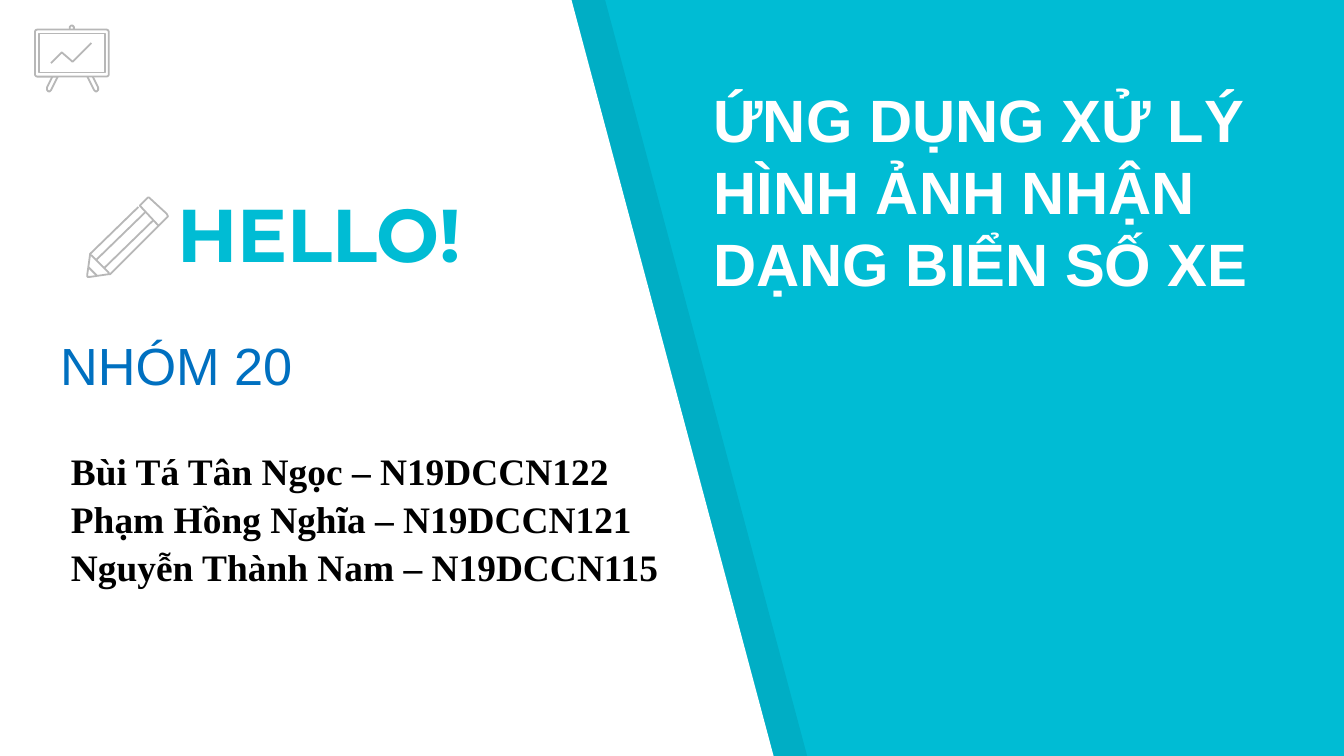
from lxml import etree
from pptx import Presentation
from pptx.dml.color import RGBColor
from pptx.enum.shapes import MSO_CONNECTOR as Connector, MSO_SHAPE as Shape
from pptx.enum.text import MSO_ANCHOR as Anchor
from pptx.oxml.ns import qn
from pptx.util import Inches, Pt

COLORS = {
    "cyan": "00BCD4",
    "white": "FFFFFF",
    "black": "000000",
    "blue": "0070C0",
    "icon": "B7B7B7",
}
ICON_LINE = Pt(0.96)
BOARD_CENTER = 0.54


def color(name):
    return RGBColor.from_string(COLORS[name])


def add_outline(page, points, closed=False):
    """Add a freeform through points given in inches."""
    corners = [(Inches(x), Inches(y)) for x, y in points]
    builder = page.shapes.build_freeform(*corners[0])
    builder.add_line_segments(corners[1:], close=closed)
    shape = builder.convert_to_shape()
    shape.shadow.inherit = False
    return shape


def add_panel(page, left, fill, opacity=None):
    """Add a full-height panel with a slanted right edge."""
    points = [(left, -0.01), (left, 5.64), (left + 5.77, 5.64), (left + 4.26, -0.01)]
    panel = add_outline(page, points, closed=True)
    panel.fill.solid()
    panel.fill.fore_color.rgb = color(fill)
    panel.line.fill.background()
    if opacity is not None:
        tint = panel._element.spPr.find(".//" + qn("a:srgbClr"))
        etree.SubElement(tint, qn("a:alpha"), val=str(opacity * 1000))


def style_icon(shape):
    shape.fill.background()
    shape.line.color.rgb = color("icon")
    shape.line.width = ICON_LINE


def add_stroke(page, points, closed=False):
    style_icon(add_outline(page, points, closed))


def add_line(page, start, end):
    ends = [Inches(value) for value in (*start, *end)]
    line = page.shapes.add_connector(Connector.STRAIGHT, *ends)
    line.line.color.rgb = color("icon")
    line.line.width = ICON_LINE
    etree.SubElement(line._element.spPr, qn("a:effectLst"))


def add_frame(page, kind, left, top, width, height):
    frame = page.shapes.add_shape(
        kind, Inches(left), Inches(top), Inches(width), Inches(height))
    frame.shadow.inherit = False
    style_icon(frame)
    return frame


def add_board_icon(page):
    board = add_frame(page, Shape.ROUNDED_RECTANGLE, 0.26, 0.22, 0.55, 0.35)
    board.adjustments[0] = 0.05
    add_stroke(page, [(0.55, 0.22), (0.55, 0.2), (0.54, 0.19), (0.53, 0.19),
                      (0.52, 0.2), (0.52, 0.22)])
    leg = [(0.39, 0.57), (0.35, 0.65), (0.35, 0.67), (0.36, 0.68),
           (0.37, 0.68), (0.38, 0.67), (0.43, 0.57)]
    add_stroke(page, leg)
    add_stroke(page, [(2 * BOARD_CENTER - x, y) for x, y in leg])
    add_frame(page, Shape.RECTANGLE, 0.29, 0.25, 0.49, 0.29)
    add_stroke(page, [(0.68, 0.32), (0.55, 0.45), (0.54, 0.46), (0.53, 0.45),
                      (0.46, 0.39), (0.38, 0.47)])


def add_pencil_icon(page):
    eraser = [(1.24, 1.59), (1.12, 1.48), (1.11, 1.47), (1.1, 1.47), (1.09, 1.48),
              (1.04, 1.53), (1.18, 1.68), (1.24, 1.62), (1.25, 1.61)]
    body = [(1.03, 1.54), (0.67, 1.89), (0.67, 1.9), (0.65, 2.04), (0.65, 2.06),
            (0.67, 2.06), (0.81, 2.04), (0.82, 2.04), (1.18, 1.68)]
    add_stroke(page, eraser, closed=True)
    add_line(page, (1.14, 1.64), (0.78, 1.99))
    add_stroke(page, body)
    add_line(page, (0.72, 1.93), (1.08, 1.58))
    add_line(page, (0.72, 2.05), (0.66, 1.99))
    add_stroke(page, [(0.67, 1.9), (0.68, 1.9), (0.81, 2.03), (0.81, 2.04)])


def add_text(page, text, place, font, size, fill, bold=False):
    """Add a one-paragraph text box; a vertical tab in text breaks the line."""
    box = page.shapes.add_textbox(*[Inches(value) for value in place])
    frame = box.text_frame
    frame.word_wrap = True
    para = frame.paragraphs[0]
    para.text = text
    for span in para.runs:
        span.font.name = font
        span.font.size = Pt(size)
        span.font.bold = bold
        span.font.color.rgb = color(fill)
    return frame


def add_members(page):
    members = ["Bùi Tá Tân Ngọc – N19DCCN122",
               "Phạm Hồng Nghĩa – N19DCCN121",
               "Nguyễn Thành Nam – N19DCCN115"]
    frame = add_text(page, "\v".join(members), (0.43, 3, 4.93, 1.48),
                     "Times New Roman", 20, "black", bold=True)
    frame.vertical_anchor = Anchor.BOTTOM
    frame.margin_top = frame.margin_bottom = Inches(0.1)
    para = frame.paragraphs[0]
    para.line_spacing = 1.07
    para.space_after = Pt(8)


def main():
    deck = Presentation()
    deck.slide_width = Inches(10)
    deck.slide_height = deck.slide_width * 9 // 16
    page = deck.slides.add_slide(deck.slide_layouts[6])
    page.background.fill.solid()
    page.background.fill.fore_color.rgb = color("cyan")

    add_panel(page, 0.24, "black", opacity=7)
    add_panel(page, -0.01, "white")
    add_members(page)
    add_board_icon(page)
    add_text(page, "ỨNG DỤNG XỬ LÝ HÌNH ẢNH NHẬN DẠNG BIỂN SỐ XE",
             (5.21, 0.57, 4.79, 2.26), "Arial", 32, "white", bold=True)
    add_text(page, "HELLO!", (1.22, 1.35, 3.17, 0.77), "Montserrat", 40, "cyan", bold=True)
    add_pencil_icon(page)
    add_text(page, "NHÓM 20", (0.35, 2.43, 3, 0.57), "Arial", 28, "blue")
    deck.save("out.pptx")


if __name__ == "__main__":
    main()
